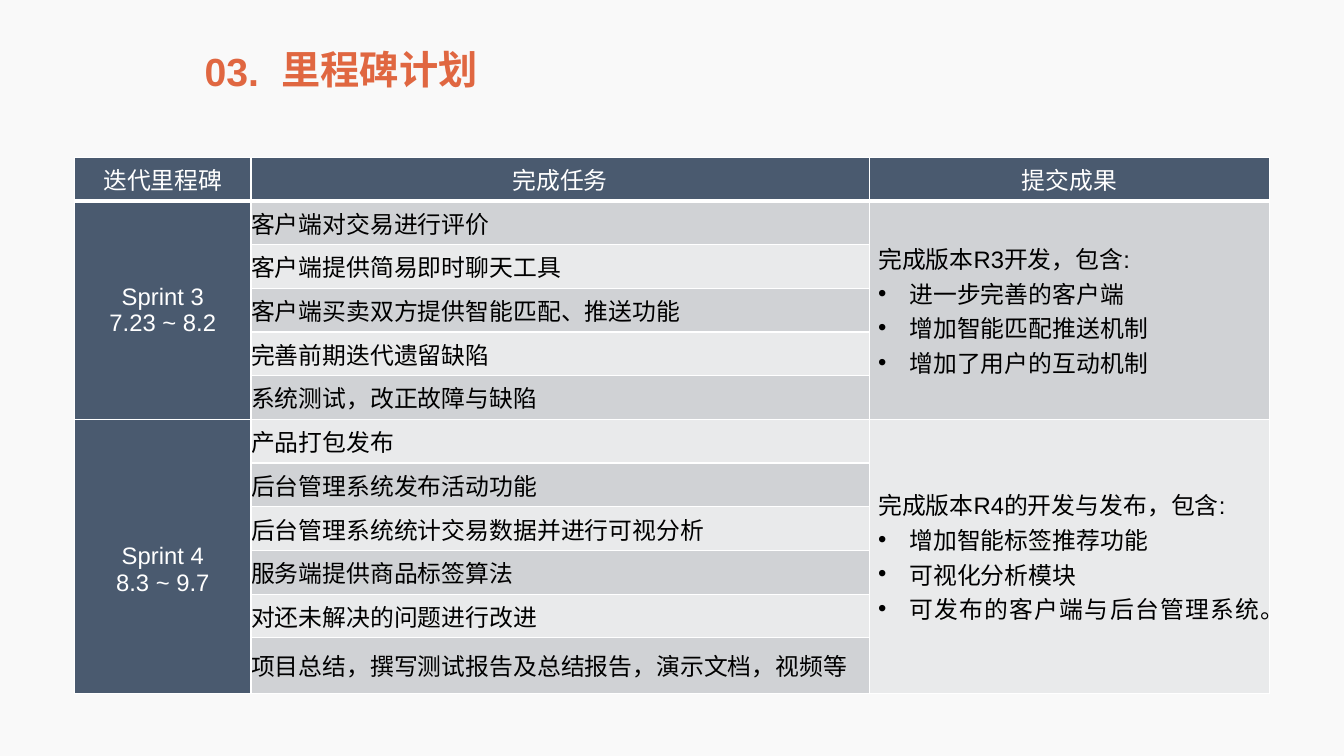
"""Build the milestone plan slide."""
from pptx import Presentation
from pptx.dml.color import RGBColor
from pptx.enum.text import MSO_ANCHOR, MSO_AUTO_SIZE, PP_ALIGN
from pptx.oxml import parse_xml
from pptx.oxml.ns import nsdecls
from pptx.util import Inches, Pt

HUES = {"back": "F9F9F9", "title": "E06741", "head": "4A5A6F", "dark": "D0D2D5",
        "light": "E9EAEB", "white": "FFFFFF", "black": "000000"}
FONT = "Arial"
TITLES = [
    ("里程碑计划", (2.68, 0.4, 2.17, 0.57), PP_ALIGN.CENTER, True),
    ("03.", (1.93, 0.42, 0.75, 0.57), PP_ALIGN.LEFT, False),
]
HEADS = ["迭代里程碑", "完成任务", "提交成果"]
SPRINTS = [
    {
        "name": ["Sprint 3", "7.23 ~ 8.2"],
        "top": 0.05,
        "tasks": ["客户端对交易进行评价", "客户端提供简易即时聊天工具",
                  "客户端买卖双方提供智能匹配、推送功能",
                  "完善前期迭代遗留缺陷", "系统测试，改正故障与缺陷"],
        "lead": "完成版本R3开发，包含:",
        "items": ["进一步完善的客户端", "增加智能匹配推送机制", "增加了用户的互动机制"],
    },
    {
        "name": ["Sprint 4", "8.3 ~ 9.7"],
        "top": 0.32,
        "tasks": ["产品打包发布", "后台管理系统发布活动功能",
                  "后台管理系统统计交易数据并进行可视分析",
                  "服务端提供商品标签算法", "对还未解决的问题进行改进",
                  "项目总结，撰写测试报告及总结报告，演示文档，视频等"],
        "lead": "完成版本R4的开发与发布，包含:",
        "items": ["增加智能标签推荐功能", "可视化分析模块", "可发布的客户端与后台管理系统。"],
    },
]
COLS = [1.75, 6.13, 3.97]
LEFT, TOP, HIGH, LAST = 0.74, 1.56, 5.32, 0.55


def tint(name):
    return RGBColor.from_string(HUES[name])


def add_run(para, text, size, hue, bold=False):
    run = para.add_run()
    run.text = text
    font = run.font
    font.name, font.size, font.bold = FONT, Pt(size), bold
    font.color.rgb = tint(hue)


def add_dot(para):
    props = para._p.get_or_add_pPr()
    props.set("marL", str(Inches(0.31)))
    props.set("indent", str(-Inches(0.31)))
    props.append(parse_xml(f'<a:buFont {nsdecls("a")} typeface="{FONT}"/>'))
    props.append(parse_xml(f'<a:buChar {nsdecls("a")} char="•"/>'))


def add_edges(cell, base):
    props = cell._tc.get_or_add_tcPr()
    for side, wide in (("L", 1), ("R", 1), ("T", 1), ("B", base)):
        props.append(parse_xml(
            f'<a:ln{side} {nsdecls("a")} w="{Pt(wide)}"><a:solidFill>'
            f'<a:srgbClr val="{HUES["white"]}"/></a:solidFill></a:ln{side}>'))


def paint(cell, hue, base=1):
    add_edges(cell, base)
    cell.fill.solid()
    cell.fill.fore_color.rgb = tint(hue)


def write(cell, lines, hue, align, pads=(0, 0, 0, 0), dots=False):
    cell.vertical_anchor = MSO_ANCHOR.MIDDLE
    (cell.margin_left, cell.margin_top,
     cell.margin_right, cell.margin_bottom) = map(Inches, pads)
    frame = cell.text_frame
    for i, line in enumerate(lines):
        para = frame.add_paragraph() if i else frame.paragraphs[0]
        para.alignment = align
        if dots and i:
            add_dot(para)
        add_run(para, line, 17, hue)


def add_title(slide, text, box, align, wrap):
    frame = slide.shapes.add_textbox(*map(Inches, box)).text_frame
    frame.word_wrap = wrap
    frame.auto_size = MSO_AUTO_SIZE.SHAPE_TO_FIT_TEXT
    para = frame.paragraphs[0]
    para.alignment = align
    add_run(para, text, 28, "title", True)


def add_plan(slide):
    count = 1 + sum(len(sprint["tasks"]) for sprint in SPRINTS)
    table = slide.shapes.add_table(
        count, len(COLS), Inches(LEFT), Inches(TOP),
        Inches(sum(COLS)), Inches(HIGH)).table
    table.first_row = table.horz_banding = False
    for col, wide in zip(table.columns, COLS):
        col.width = Inches(wide)
    for row in table.rows:
        row.height = Inches((HIGH - LAST) / (count - 1))
    table.rows[count - 1].height = Inches(LAST)

    for c, head in enumerate(HEADS):
        paint(table.cell(0, c), "head", 3)
        write(table.cell(0, c), [head], "white", PP_ALIGN.CENTER)

    start = 1
    for sprint in SPRINTS:
        end = start + len(sprint["tasks"]) - 1
        band = "dark" if start % 2 else "light"
        for r, task in enumerate(sprint["tasks"], start):
            paint(table.cell(r, 0), "head")
            paint(table.cell(r, 1), "dark" if r % 2 else "light")
            paint(table.cell(r, 2), band)
            write(table.cell(r, 1), [task], "black", PP_ALIGN.JUSTIFY)
        for c in (0, 2):
            table.cell(start, c).merge(table.cell(end, c))
        write(table.cell(start, 0), sprint["name"], "white", PP_ALIGN.CENTER,
              (0.09, sprint["top"], 0.09, 0.05))
        write(table.cell(start, 2), [sprint["lead"], *sprint["items"]], "black",
              PP_ALIGN.JUSTIFY, (0.09, 0.05, 0.09, 0.05), True)
        start = end + 1


def main():
    deck = Presentation()
    deck.slide_width, deck.slide_height = Inches(13.33), Inches(7.5)
    slide = deck.slides.add_slide(deck.slide_layouts[6])
    slide.background.fill.solid()
    slide.background.fill.fore_color.rgb = tint("back")
    for title in TITLES:
        add_title(slide, *title)
    add_plan(slide)
    deck.save("out.pptx")


if __name__ == "__main__":
    main()
